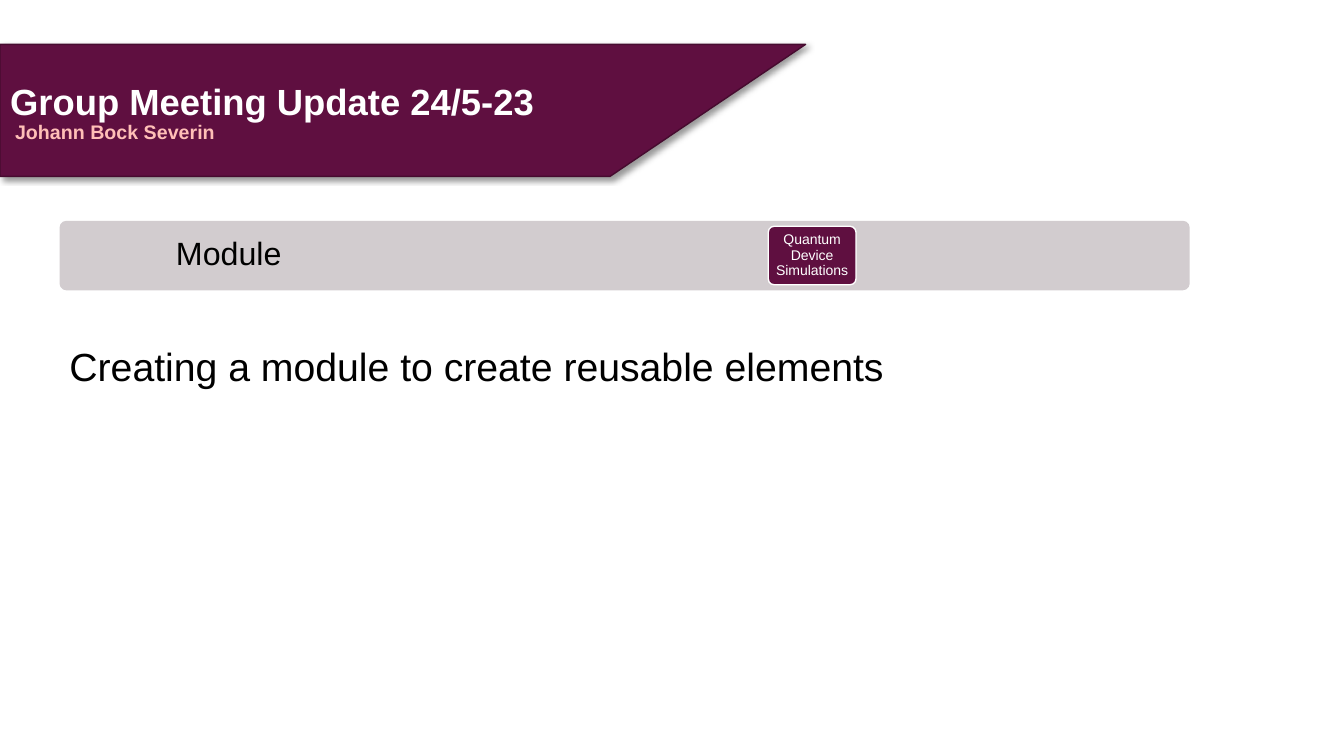
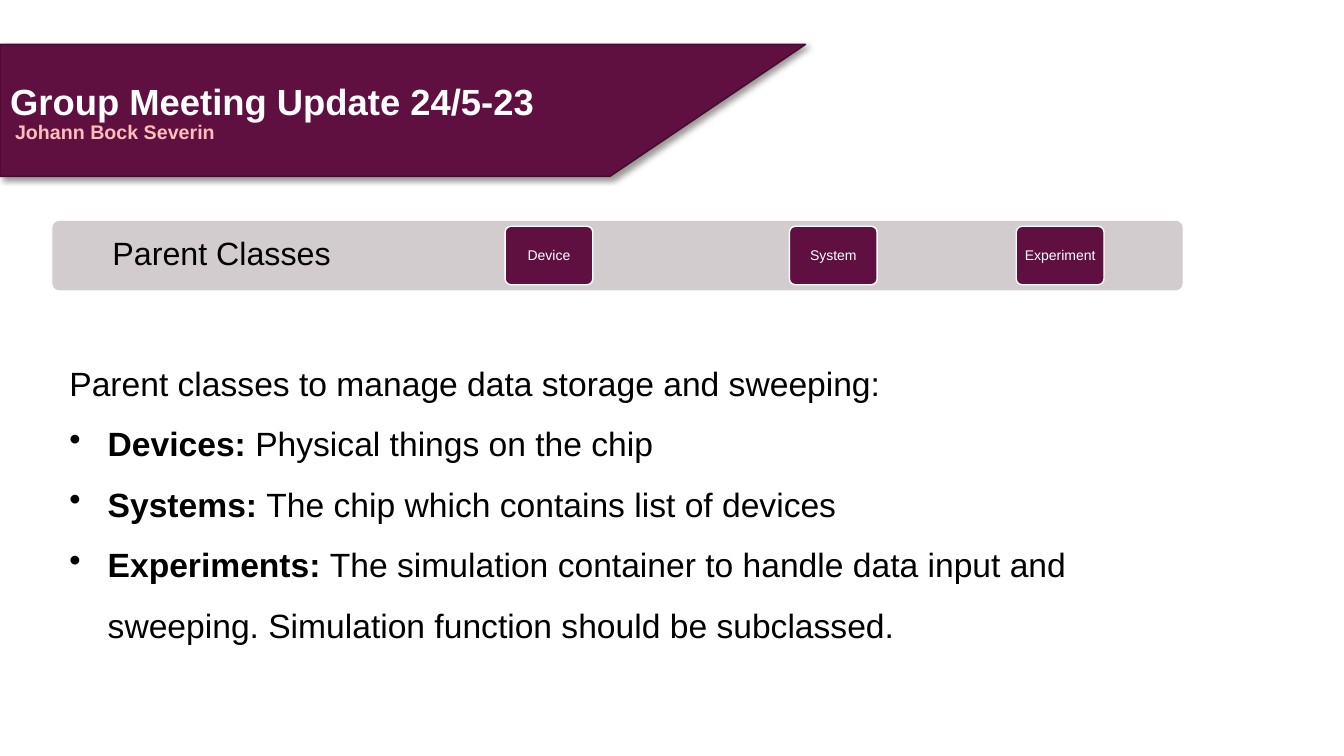
import pptx
import pptx.util
import pptx.dml.color
import pptx.enum.shapes
import pptx.enum.text
import pptx.oxml
import pptx.oxml.ns

Inches = pptx.util.Inches
ALIGN = pptx.enum.text.PP_ALIGN
ANCHOR = pptx.enum.text.MSO_ANCHOR

FONT = "Arial"
PLUM, PLUM_EDGE = "5F0F40", "460B2F"
BAR_GREY, PINK, WHITE, BLACK = "D2CCCF", "FFBFB7", "FFFFFF", "000000"

BANNER_TOP, BANNER_HEIGHT = 0.44, 1.31
BAR_TOP, BAR_WIDTH, BAR_HEIGHT = 2.19, 11.21, 0.69
CHIP_WIDTH, CHIP_HEIGHT = 0.87, 0.58
BODY_LEFT, BODY_TOP = 0.59, 3.35


def rgb(hex_colour):
    """Turn a hex string into a colour."""
    return pptx.dml.color.RGBColor.from_string(hex_colour)


def paint(shape, fill, line=None):
    """Give a shape a plain fill, and a 1 pt outline or none."""
    shape.shadow.inherit = False
    shape.fill.solid()
    shape.fill.fore_color.rgb = rgb(fill)
    if line:
        shape.line.color.rgb = rgb(line)
        shape.line.width = pptx.util.Pt(1)
    else:
        shape.line.fill.background()


def style(paragraph, size, colour, bold=None, align=ALIGN.LEFT, spacing=None):
    """Format one paragraph."""
    font = paragraph.font
    font.name, font.size, font.bold = FONT, pptx.util.Pt(size), bold
    font.color.rgb = rgb(colour)
    paragraph.alignment = align
    paragraph.line_spacing = spacing


def set_frame(frame, anchor, left=0.1, right=0.1, vertical=0.05):
    """Set wrapping, anchor and insets of a text frame."""
    frame.word_wrap = True
    frame.auto_size = pptx.enum.text.MSO_AUTO_SIZE.NONE
    frame.vertical_anchor = anchor
    frame.margin_left, frame.margin_right = Inches(left), Inches(right)
    frame.margin_top = frame.margin_bottom = Inches(vertical)


def add_bullet(paragraph):
    """Turn a paragraph into a hanging bullet."""
    properties = paragraph._p.get_or_add_pPr()
    properties.set("marL", str(Inches(0.38)))
    properties.set("indent", str(Inches(-0.38)))
    properties.append(pptx.oxml.parse_xml(
        f'<a:buChar {pptx.oxml.ns.nsdecls("a")} char="•"/>'))


def cast_shadow(shape):
    """Add a soft shadow to the lower right."""
    effects = shape.element.spPr.find(pptx.oxml.ns.qn("a:effectLst"))
    effects.append(pptx.oxml.parse_xml(
        f'<a:outerShdw {pptx.oxml.ns.nsdecls("a")} blurRad="{pptx.util.Pt(4)}" '
        f'dist="{pptx.util.Pt(3)}" dir="2700000" algn="tl" rotWithShape="0">'
        f'<a:srgbClr val="{BLACK}"><a:alpha val="40000"/></a:srgbClr></a:outerShdw>'))


def add_banner(slide):
    """Draw the slanted banner with the title and the author."""
    bottom = BANNER_TOP + BANNER_HEIGHT
    outline = slide.shapes.build_freeform(Inches(0), Inches(BANNER_TOP))
    outline.add_line_segments(
        [(Inches(x), Inches(y)) for x, y in
         ((7.99, BANNER_TOP), (6.05, bottom), (0, bottom))], close=True)
    banner = outline.convert_to_shape()
    paint(banner, PLUM, PLUM_EDGE)
    cast_shadow(banner)

    title = slide.shapes.title
    title.element.addprevious(banner.element)
    title.left, title.top = Inches(0), Inches(0.78)
    title.width, title.height = Inches(6.5), Inches(0.42)
    set_frame(title.text_frame, ANCHOR.TOP, vertical=0)
    title.text_frame.text = "Group Meeting Update 24/5-23"
    style(title.text_frame.paragraphs[0], 26, WHITE, bold=True)

    author = slide.shapes.add_textbox(
        Inches(0), Inches(1.19), Inches(6), Inches(0.23)).text_frame
    set_frame(author, ANCHOR.TOP, left=0.15, vertical=0)
    author.text = "Johann Bock Severin"
    style(author.paragraphs[0], 14, PINK, bold=True)


def add_rounded(slide, left, top, width, height, fill, line=None):
    """Draw a rounded box and return it."""
    box = slide.shapes.add_shape(
        pptx.enum.shapes.MSO_SHAPE.ROUNDED_RECTANGLE,
        Inches(left), Inches(top), Inches(width), Inches(height))
    box.adjustments[0] = 0.1
    paint(box, fill, line)
    return box


def add_level_bar(slide, left, label, chips):
    """Draw the grey bar with its label and its (name, left) chips."""
    bar = add_rounded(slide, left, BAR_TOP, BAR_WIDTH, BAR_HEIGHT, BAR_GREY)
    set_frame(bar.text_frame, ANCHOR.MIDDLE, left=0.18, right=8.03)
    bar.text_frame.text = label
    style(bar.text_frame.paragraphs[0], 23, BLACK, align=ALIGN.CENTER, spacing=0.9)

    chip_top = BAR_TOP + (BAR_HEIGHT - CHIP_HEIGHT) / 2
    for name, chip_left in chips:
        chip = add_rounded(slide, chip_left, chip_top, CHIP_WIDTH, CHIP_HEIGHT,
                           PLUM, WHITE)
        set_frame(chip.text_frame, ANCHOR.MIDDLE, left=0.04, right=0.04)
        chip.text_frame.text = name
        style(chip.text_frame.paragraphs[0], 10, WHITE, align=ALIGN.CENTER, spacing=0.9)


def add_body(slide, width, height, intro, size, points=(), spacing=None):
    """Write an intro line and bulleted (term, meaning) points."""
    body = slide.shapes.add_textbox(
        Inches(BODY_LEFT), Inches(BODY_TOP), Inches(width), Inches(height)).text_frame
    set_frame(body, ANCHOR.TOP)
    body.text = intro
    style(body.paragraphs[0], size, BLACK, spacing=spacing)
    for term, meaning in points:
        point = body.add_paragraph()
        style(point, size, BLACK, spacing=spacing)
        add_bullet(point)
        term_run = point.add_run()
        term_run.text = f"{term}: "
        term_run.font.bold = True
        point.add_run().text = meaning


def add_update_slide(deck):
    """Add a slide with the shared banner."""
    slide = deck.slides.add_slide(deck.slide_layouts.get_by_name("Title Only"))
    add_banner(slide)
    return slide


def main():
    """Build the deck."""
    deck = pptx.Presentation()
    deck.slide_width, deck.slide_height = Inches(13.33), Inches(7.5)

    module = add_update_slide(deck)
    add_level_bar(module, 0.59, "Module", [("Quantum Device Simulations", 7.62)])
    add_body(module, 9.11, 0.57, "Creating a module to create reusable elements", 28)

    classes = add_update_slide(deck)
    add_level_bar(classes, 0.52, "Parent Classes",
                  [("Device", 5.01), ("System", 7.83), ("Experiment", 10.08)])
    add_body(classes, 11.03, 3.06,
             "Parent classes to manage data storage and sweeping:", 24,
             [("Devices", "Physical things on the chip"),
              ("Systems", "The chip which contains list of devices"),
              ("Experiments", "The simulation container to handle data input and "
                              "sweeping. Simulation function should be subclassed.")],
             spacing=1.5)

    deck.save("out.pptx")


main()
